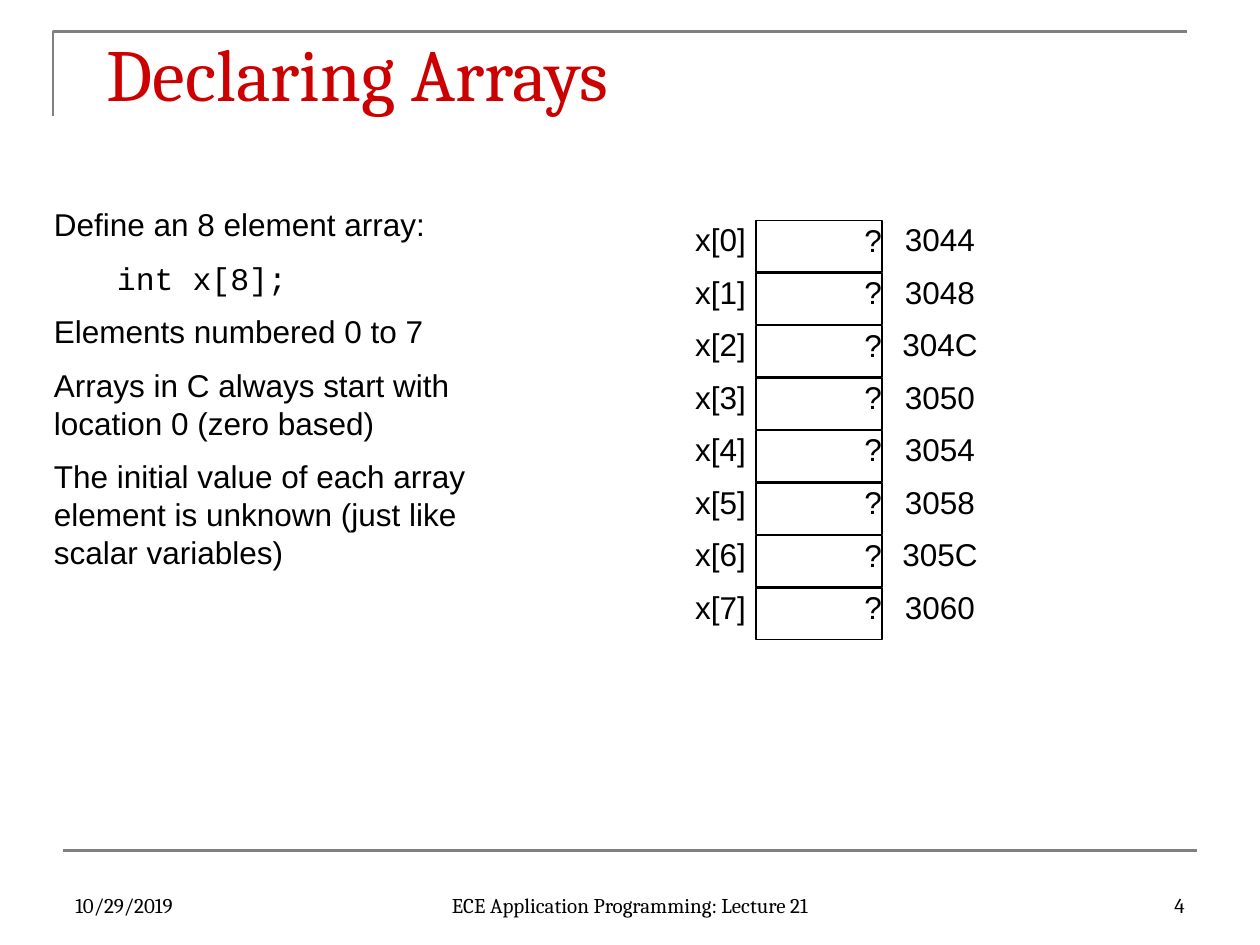
from pptx import Presentation
from pptx.dml.color import RGBColor
from pptx.enum.shapes import MSO_CONNECTOR, MSO_SHAPE
from pptx.enum.text import MSO_ANCHOR, PP_ALIGN
from pptx.oxml.ns import qn
from pptx.util import Inches, Pt
from lxml import etree

BLACK = RGBColor(0x00, 0x00, 0x00)
GRAY = RGBColor(0x80, 0x80, 0x80)
RED = RGBColor(0xCC, 0x00, 0x00)
LEFT, CENTER, RIGHT = PP_ALIGN.LEFT, PP_ALIGN.CENTER, PP_ALIGN.RIGHT
TOP, BOTTOM = MSO_ANCHOR.TOP, MSO_ANCHOR.BOTTOM
RECT = MSO_SHAPE.RECTANGLE
STRAIGHT = MSO_CONNECTOR.STRAIGHT

ADDRESSES = ["3044", "3048", "304C", "3050", "3054", "3058", "305C", "3060"]
NOTES = [
    "Define an 8 element array:",
    "\tint x[8];",
    "Elements numbered 0 to 7",
    "Arrays in C always start with location 0 (zero based)",
    "The initial value of each array element is unknown (just like scalar variables)",
]


def style(p, size, font, color=BLACK, align=LEFT):
    p.alignment = align
    p.font.size = Pt(size)
    p.font.name = font
    p.font.color.rgb = color


def remove_margins(tf):
    tf.margin_left = tf.margin_top = tf.margin_right = tf.margin_bottom = 0


def add_text(s, box, text, size, font, color=BLACK, align=LEFT, anchor=TOP):
    tf = s.shapes.add_textbox(*map(Inches, box)).text_frame
    tf.word_wrap = True
    tf.vertical_anchor = anchor
    p = tf.paragraphs[0]
    p.text = text
    style(p, size, font, color, align)
    return tf


def add_frame(s, left, top, width, height):
    """Draw the corner rule above the title."""
    builder = s.shapes.build_freeform(Inches(left), Inches(top + height))
    builder.add_line_segments(
        [(Inches(left), Inches(top)), (Inches(left + width), Inches(top))], close=False)
    corner = builder.convert_to_shape()
    corner.shadow.inherit = False
    corner.fill.background()
    corner.line.color.rgb = GRAY
    corner.line.width = Pt(1.5)


def add_footer(s, left, top, width):
    rule = s.shapes.add_connector(
        STRAIGHT, Inches(left), Inches(top), Inches(left + width), Inches(top))
    rule.line.color.rgb = GRAY
    rule.line.width = Pt(1.5)
    etree.SubElement(rule._element.spPr, qn("a:effectLst"))
    y, side, middle, height = top + 0.08, 2.33, 3.17, 0.5
    for x, w, text, align in [
        (left, side, "10/29/2019", LEFT),
        (left + (width - middle) / 2, middle, "ECE Application Programming: Lecture 21", CENTER),
        (left + width - side, side, "4", RIGHT),
    ]:
        add_text(s, (x, y, w, height), text, 12, "Cambria", align=align, anchor=BOTTOM)


def add_notes(s, box):
    tf = add_text(s, box, NOTES[0], 18, "Arial")
    for note in NOTES[1:]:
        p = tf.add_paragraph()
        p.text = note
        style(p, 18, "Courier New" if note.startswith("\t") else "Arial")
        p.space_before = Pt(9)


def add_cell(s, left, top, width, height, value):
    cell = s.shapes.add_shape(RECT, *map(Inches, (left, top, width, height)))
    cell.shadow.inherit = False
    cell.fill.background()
    cell.line.color.rgb = BLACK
    cell.line.width = Pt(0.75)
    tf = cell.text_frame
    remove_margins(tf)
    tf.vertical_anchor = TOP
    p = tf.paragraphs[0]
    p.text = value
    style(p, 18, "Arial", align=RIGHT)


def add_memory(s, left, top, width, height):
    """Draw one row per element: name, boxed value and address."""
    column = width / 3
    pitch = height / len(ADDRESSES)
    label_w, label_h = 0.92, 0.4
    for i, address in enumerate(ADDRESSES):
        y = top + i * pitch
        add_cell(s, left + column, y, column, 0.41, "?")
        for x, text, align in [(left, f"x[{i}]", RIGHT), (left + 2 * column, address, CENTER)]:
            remove_margins(add_text(s, (x, y, label_w, label_h), text, 18, "Arial", align=align))


def main():
    prs = Presentation()
    prs.slide_width, prs.slide_height = Inches(10), Inches(7.5)
    s = prs.slides.add_slide(prs.slide_layouts[6])
    add_frame(s, 0.42, 0.25, 9, 0.67)
    add_text(s, (0.75, 0.17, 8.5, 0.58), "Declaring Arrays", 42, "Cambria", RED)
    add_memory(s, 5, 1.75, 3, 10 / 3)
    add_notes(s, (0.33, 1.58, 3.83, 3.13))
    add_footer(s, 0.5, 6.75, 9)
    prs.save("out.pptx")


if __name__ == "__main__":
    main()
